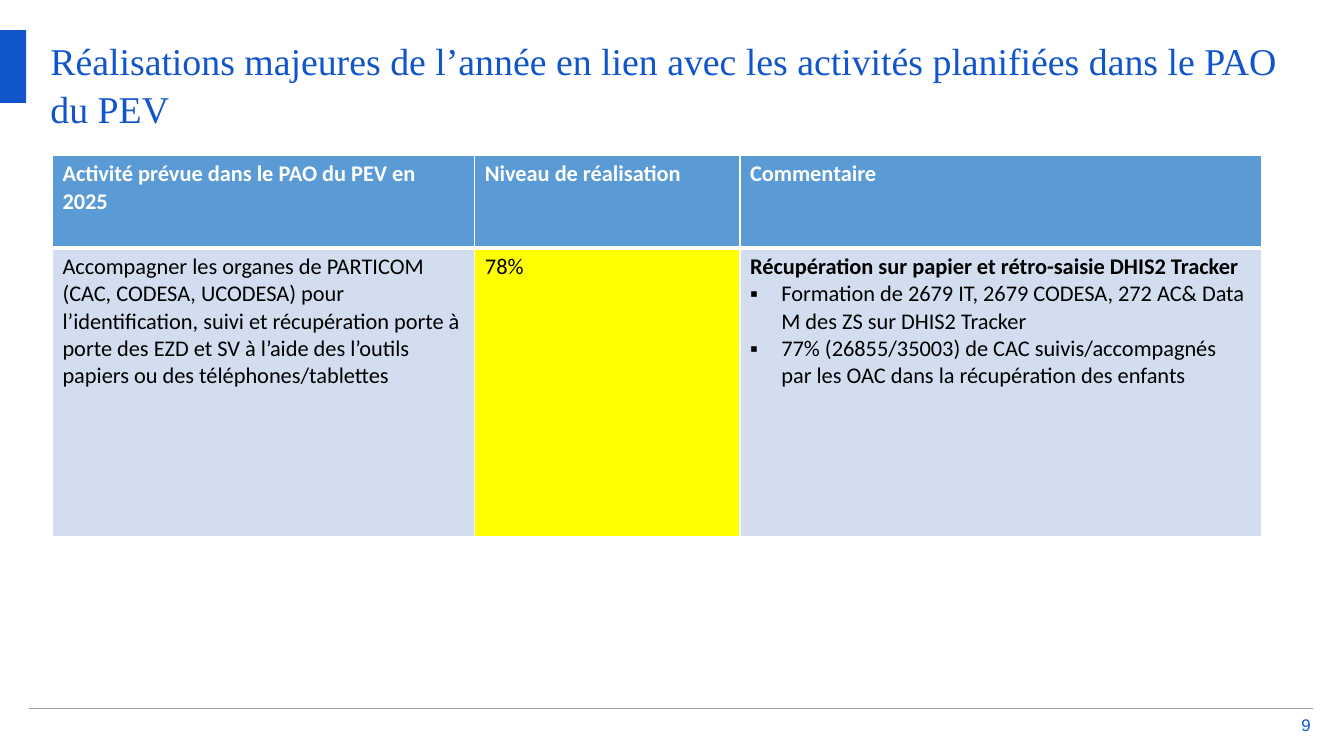
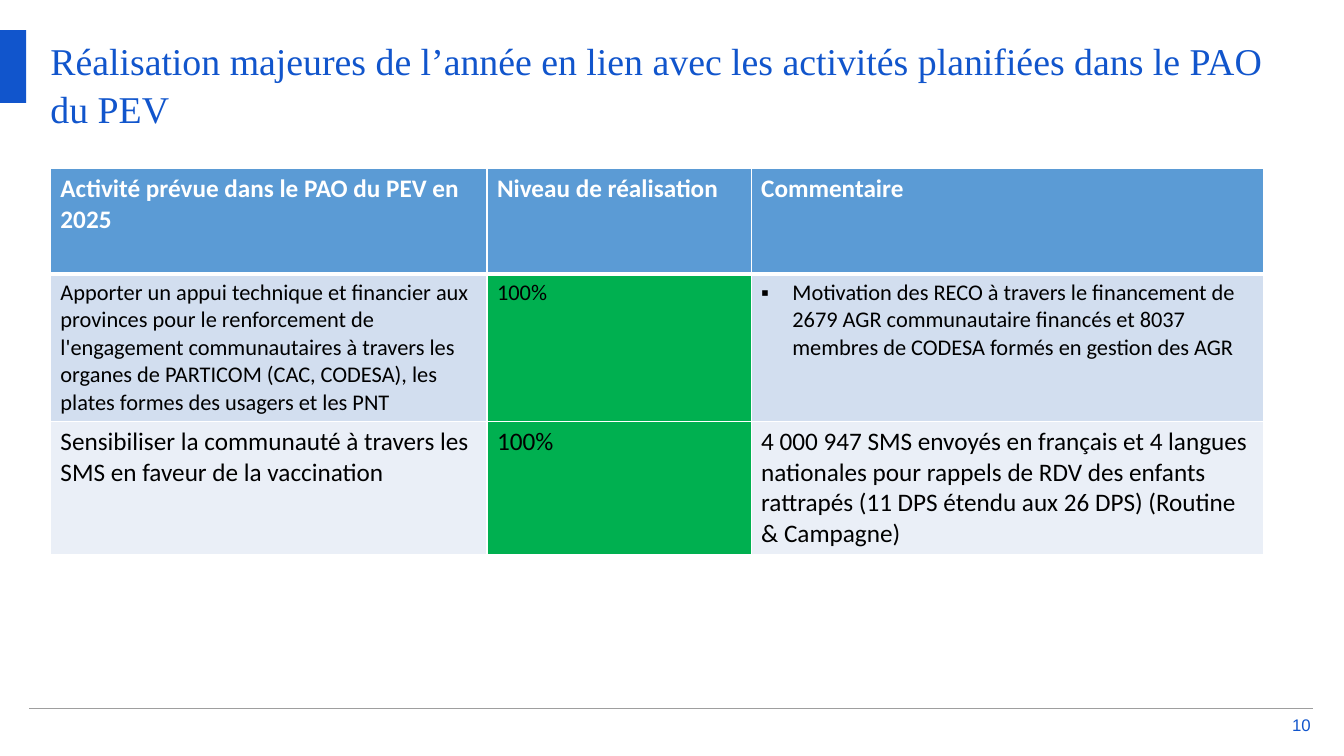
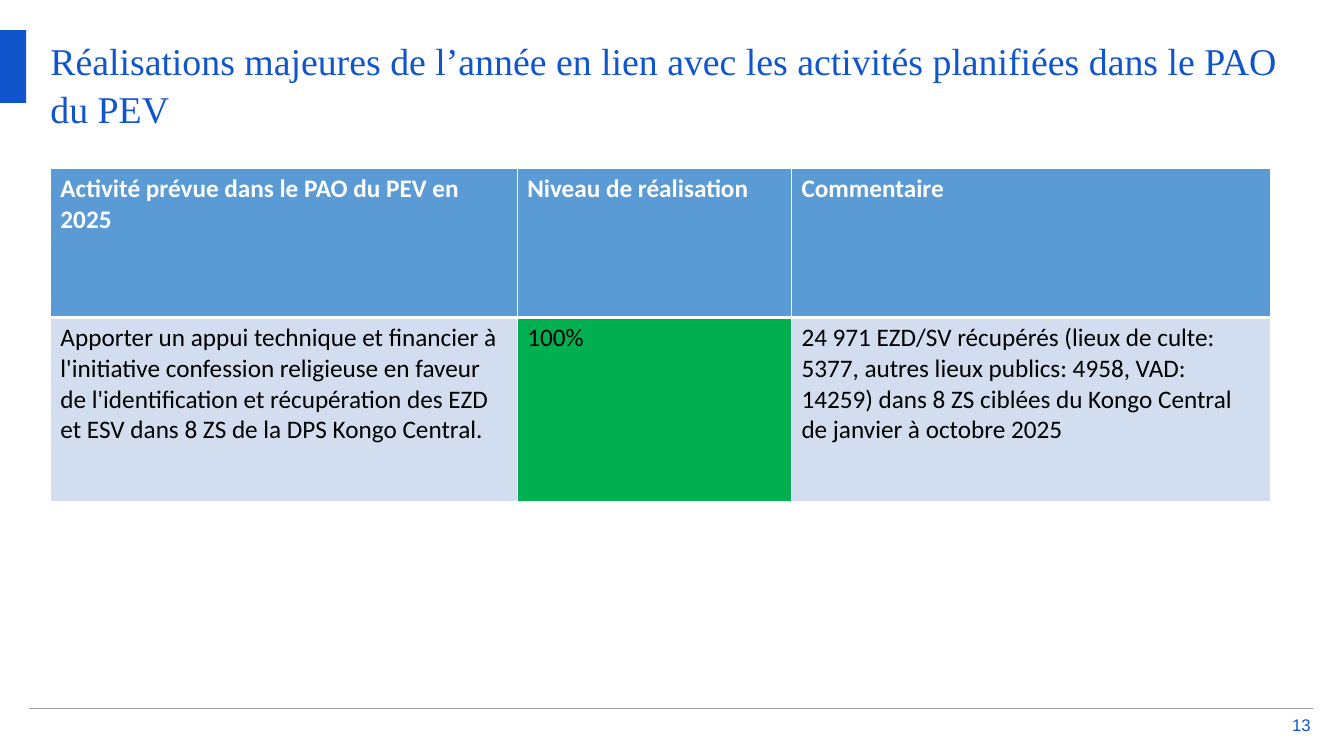
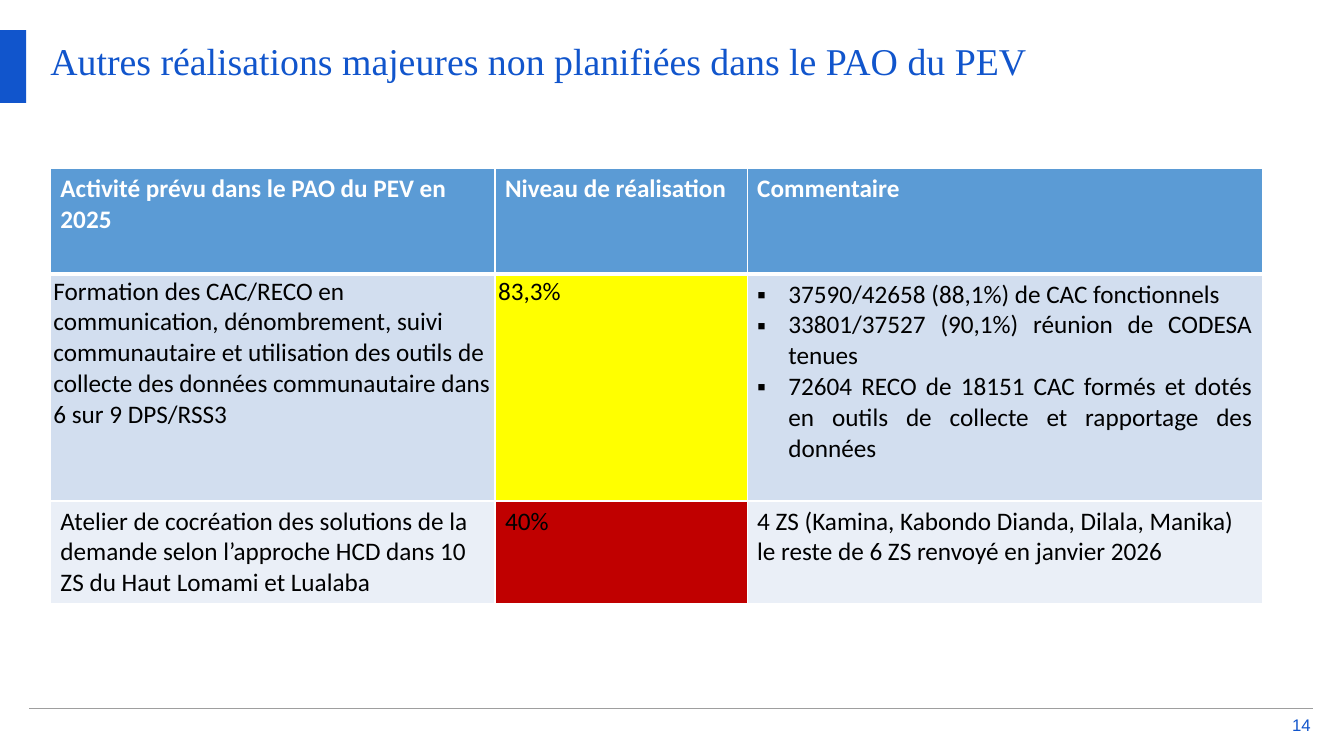
from dataclasses import dataclass
from typing import Any

import pptx
import pptx.dml.color
import pptx.enum.shapes
import pptx.enum.text
import pptx.oxml
import pptx.oxml.ns
import pptx.presentation
import pptx.slide
import pptx.table
import pptx.text.text
import pptx.util

# Shared look; lengths are in px, 100 to the inch
EMU_PER_PX = 9144
SLIDE_WIDTH, SLIDE_HEIGHT = 1333, 750
BLUE, RULE_GREY, WHITE, BLACK = "1155CC", "9E9E9E", "FFFFFF", "000000"
HEADER_FILL = "5B9BD5"
ROW_FILLS = ("D2DEEF", "EAEFF7")
GREEN, YELLOW, RED = "00B050", "FFFF00", "C00000"
BULLET_INDENT = 31
TITLE_BOX = (50, 35, 1233, 80)
BAND_BOX = (0, 30, 26, 72)
NUMBER_BOX = (1275, 710, 25, 18)
RULE_ENDS = (29, 703, 1302, 703)

Align = pptx.enum.text.PP_ALIGN
Anchor = pptx.enum.text.MSO_ANCHOR


def px(length: int) -> int:
    return pptx.util.Emu(length * EMU_PER_PX)


def color(hex_code: str) -> pptx.dml.color.RGBColor:
    return pptx.dml.color.RGBColor.from_string(hex_code)


def apply(target: Any, values: dict[str, Any]) -> None:
    for attribute, value in values.items():
        setattr(target, attribute, value)


PLACE = ("left", "top", "width", "height")
FLUSH = {f"margin_{side}": 0 for side in PLACE[:2] + ("right", "bottom")}
TIGHT = {"margin_left": px(3), "margin_right": px(3),
         "margin_top": px(2), "margin_bottom": px(2)}
TITLE_FRAME = FLUSH | {"word_wrap": True, "vertical_anchor": Anchor.TOP,
                       "auto_size": pptx.enum.text.MSO_AUTO_SIZE.NONE}
NUMBER_FRAME = TITLE_FRAME | {"vertical_anchor": Anchor.MIDDLE}


# Content model
@dataclass(frozen=True)
class Line:
    text: str
    bold: bool = False
    bullet: bool = False
    align: Align = Align.LEFT


@dataclass(frozen=True)
class Activity:
    description: str
    level: str
    level_fill: str
    comments: tuple[Line, ...]
    size: int = 18
    tight: bool = False


@dataclass(frozen=True)
class Report:
    number: int
    title: str
    origin: tuple[int, int]
    columns: tuple[int, ...]
    rows: tuple[int, ...]
    activities: tuple[Activity, ...]
    header_size: int = 18
    first_heading: str = "Activité prévue dans le PAO du PEV en 2025"


MAJOR_TITLE = ("Réalisations majeures de l’année en lien avec les activités "
               "planifiées dans le PAO du PEV")

REPORTS = (
    Report(9, MAJOR_TITLE, (52, 154), (419, 263, 517), (92, 286), (
        Activity(
            "Accompagner les organes de PARTICOM (CAC, CODESA, UCODESA) pour "
            "l’identification, suivi et récupération porte à porte des EZD et SV "
            "à l’aide des l’outils papiers ou des téléphones/tablettes",
            "78%", YELLOW,
            (Line("Récupération sur papier et rétro-saisie DHIS2 Tracker", bold=True),
             Line("Formation de 2679 IT, 2679 CODESA, 272 AC& Data M des ZS sur "
                  "DHIS2 Tracker", bullet=True),
             Line("77% (26855/35003) de CAC suivis/accompagnés par les OAC dans la "
                  "récupération des enfants", bullet=True)),
            size=16),
    ), header_size=16),
    Report(10, MAJOR_TITLE.replace("Réalisations", "Réalisation"),
           (50, 167), (433, 262, 508), (105, 144, 131), (
        Activity(
            "Apporter un appui technique et financier aux provinces pour le "
            "renforcement de l'engagement communautaires à travers les organes de "
            "PARTICOM (CAC, CODESA), les plates formes des usagers et les PNT",
            "100%", GREEN,
            (Line("Motivation des RECO à travers le financement de 2679 AGR "
                  "communautaire financés et 8037 membres de CODESA formés en "
                  "gestion des AGR", bullet=True),),
            size=16),
        Activity(
            "Sensibiliser la communauté à travers les SMS en faveur de la vaccination",
            "100%", GREEN,
            (Line("4 000 947 SMS envoyés en français et 4 langues nationales pour "
                  "rappels de RDV des enfants rattrapés (11 DPS étendu aux 26 DPS) "
                  "(Routine & Campagne)"),)),
    )),
    Report(13, MAJOR_TITLE, (50, 167), (463, 272, 475), (148, 183), (
        Activity(
            "Apporter un appui technique et financier à l'initiative confession "
            "religieuse en faveur de l'identification et récupération des EZD et "
            "ESV dans 8 ZS de la DPS Kongo Central.",
            "100%", GREEN,
            (Line("24 971 EZD/SV récupérés (lieux de culte: 5377, autres lieux "
                  "publics: 4958, VAD: 14259) dans 8 ZS ciblées du Kongo Central "
                  "de janvier à octobre 2025"),)),
    )),
    Report(14, "Autres réalisations majeures non planifiées dans le PAO du PEV",
           (50, 167), (441, 250, 511), (105, 225, 101), (
        Activity(
            "Formation des CAC/RECO en communication, dénombrement, suivi "
            "communautaire et utilisation des outils de collecte des données "
            "communautaire dans 6 sur 9 DPS/RSS3",
            "83,3%", YELLOW,
            tuple(Line(text, bullet=True, align=Align.JUSTIFY) for text in (
                "37590/42658 (88,1%) de CAC fonctionnels",
                "33801/37527 (90,1%) réunion de CODESA tenues",
                "72604 RECO de 18151 CAC formés et dotés en outils de collecte "
                "et rapportage des données")),
            tight=True),
        Activity(
            "Atelier de cocréation des solutions de la demande selon l’approche "
            "HCD dans 10 ZS du Haut Lomami et Lualaba",
            "40%", RED,
            (Line("4 ZS (Kamina, Kabondo Dianda, Dilala, Manika) le reste de 6 ZS "
                  "renvoyé en janvier 2026"),)),
    ), first_heading="Activité prévu dans le PAO du PEV en 2025"),
)


# Text
def write(paragraph: pptx.text.text._Paragraph, text: str, size: int, face: str,
          hex_code: str, bold: bool = False, align: Align = Align.LEFT) -> None:
    paragraph.alignment = align
    run = paragraph.add_run()
    run.text = text
    apply(run.font, {"size": pptx.util.Pt(size), "name": face, "bold": bold})
    run.font.color.rgb = color(hex_code)


def add_bullet(paragraph: pptx.text.text._Paragraph) -> None:
    properties = paragraph._p.get_or_add_pPr()
    properties.set("marL", str(px(BULLET_INDENT)))
    properties.set("indent", str(-px(BULLET_INDENT)))
    for tag, values in (("a:buFont", {"typeface": "Arial"}), ("a:buChar", {"char": "▪"})):
        mark = pptx.oxml.ns.qn(tag)
        properties.append(properties.makeelement(mark, values))


# Table
def add_borders(cell: pptx.table._Cell, top: int, bottom: int) -> None:
    properties = cell._tc.get_or_add_tcPr()
    for side, points in (("L", 1), ("R", 1), ("T", top), ("B", bottom)):
        properties.append(pptx.oxml.parse_xml(
            f'<a:ln{side} {pptx.oxml.ns.nsdecls("a")} w="{pptx.util.Pt(points)}">'
            f'<a:solidFill><a:srgbClr val="{WHITE}"/></a:solidFill></a:ln{side}>'))


def fill_cell(cell: pptx.table._Cell, lines: tuple[Line, ...], size: int,
              text_color: str, fill: str) -> None:
    frame = cell.text_frame
    for index, line in enumerate(lines):
        paragraph = frame.add_paragraph() if index else frame.paragraphs[0]
        if line.bullet:
            add_bullet(paragraph)
        write(paragraph, line.text, size, "Calibri", text_color, line.bold, line.align)
    cell.fill.solid()
    cell.fill.fore_color.rgb = color(fill)


def add_activity_table(slide: pptx.slide.Slide, report: Report) -> None:
    box = (*report.origin, sum(report.columns), sum(report.rows))
    table = slide.shapes.add_table(
        len(report.rows), len(report.columns), *map(px, box)).table
    for column, width in zip(table.columns, report.columns):
        column.width = px(width)
    for row, height in zip(table.rows, report.rows):
        row.height = px(height)

    headings = (report.first_heading, "Niveau de réalisation", "Commentaire")
    for cell, heading in zip(table.rows[0].cells, headings):
        add_borders(cell, top=1, bottom=3)
        fill_cell(cell, (Line(heading, bold=True),), report.header_size,
                  WHITE, HEADER_FILL)

    for index, activity in enumerate(report.activities):
        row_fill = ROW_FILLS[index % len(ROW_FILLS)]
        contents = (((Line(activity.description),), row_fill),
                    ((Line(activity.level),), activity.level_fill),
                    (activity.comments, row_fill))
        cells = list(table.rows[index + 1].cells)
        for cell, (lines, fill) in zip(cells, contents):
            add_borders(cell, top=1 if index else 3, bottom=1)
            fill_cell(cell, lines, activity.size, BLACK, fill)
        if activity.tight:
            for cell in cells[:2]:
                apply(cell, TIGHT)


# Title, band, page number and footer rule
def add_frame(slide: pptx.slide.Slide, report: Report) -> None:
    title = slide.shapes.title
    apply(title, dict(zip(PLACE, map(px, TITLE_BOX))))
    apply(title.text_frame, TITLE_FRAME)
    heading = title.text_frame.paragraphs[0]
    heading.line_spacing = 1.06
    write(heading, report.title, 27, "Times New Roman", BLUE)

    band = slide.shapes.add_shape(
        pptx.enum.shapes.MSO_SHAPE.RECTANGLE, *map(px, BAND_BOX))
    band.shadow.inherit = False
    band.fill.solid()
    band.fill.fore_color.rgb = color(BLUE)
    band.line.fill.background()

    number = slide.shapes.add_textbox(*map(px, NUMBER_BOX)).text_frame
    apply(number, NUMBER_FRAME)
    write(number.paragraphs[0], str(report.number), 12, "Arial", BLUE, align=Align.RIGHT)

    rule = slide.shapes.add_connector(
        pptx.enum.shapes.MSO_CONNECTOR.STRAIGHT, *map(px, RULE_ENDS))
    rule.line.color.rgb = color(RULE_GREY)
    rule.line.width = pptx.util.Pt(1)
    properties = rule._element.spPr
    properties.append(properties.makeelement(pptx.oxml.ns.qn("a:effectLst"), {}))


def main() -> None:
    deck = pptx.Presentation()
    apply(deck, {"slide_width": px(SLIDE_WIDTH), "slide_height": px(SLIDE_HEIGHT)})
    title_only = deck.slide_layouts.get_by_name("Title Only")
    for report in REPORTS:
        slide = deck.slides.add_slide(title_only)
        add_frame(slide, report)
        add_activity_table(slide, report)
    deck.save("out.pptx")


if __name__ == "__main__":
    main()
